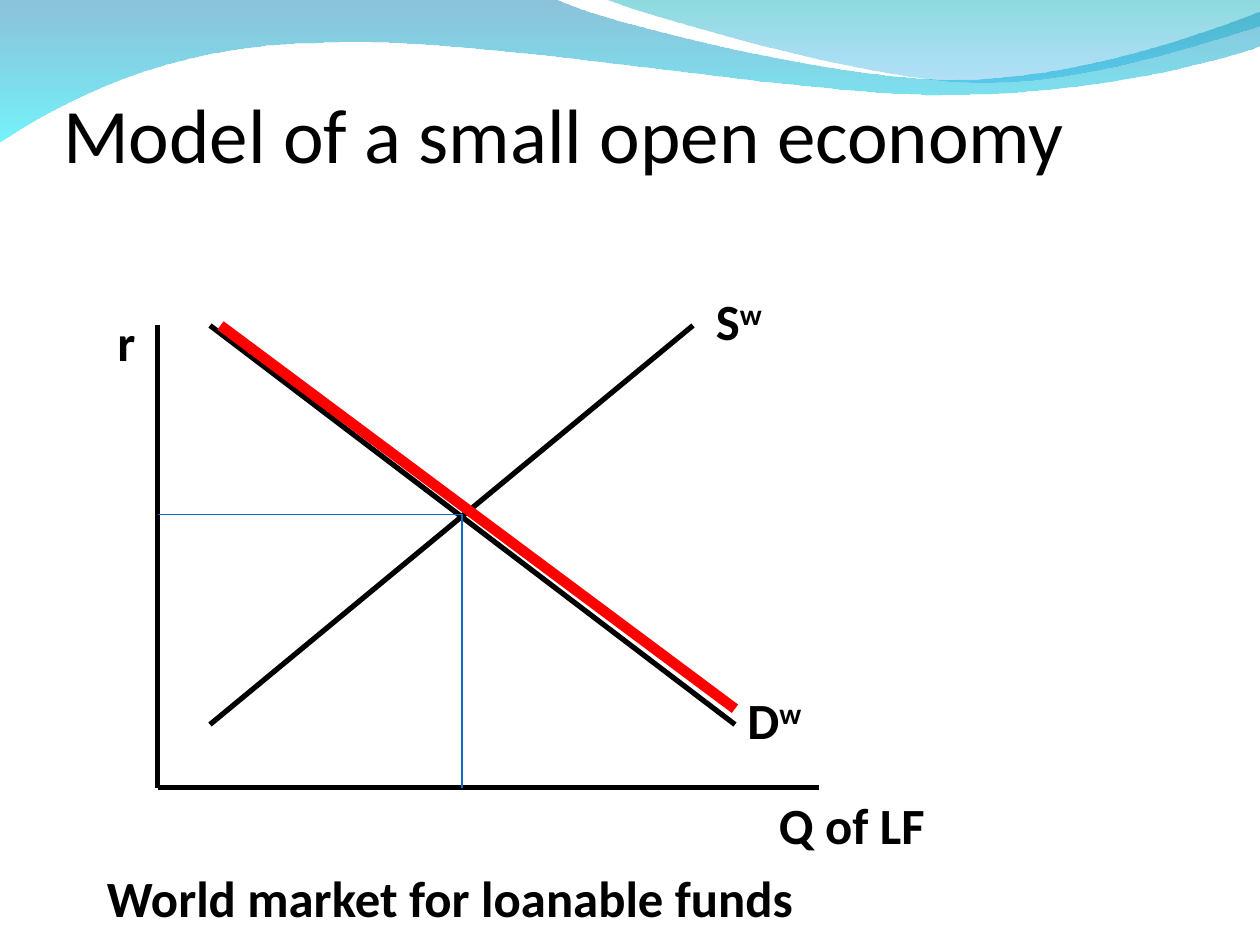
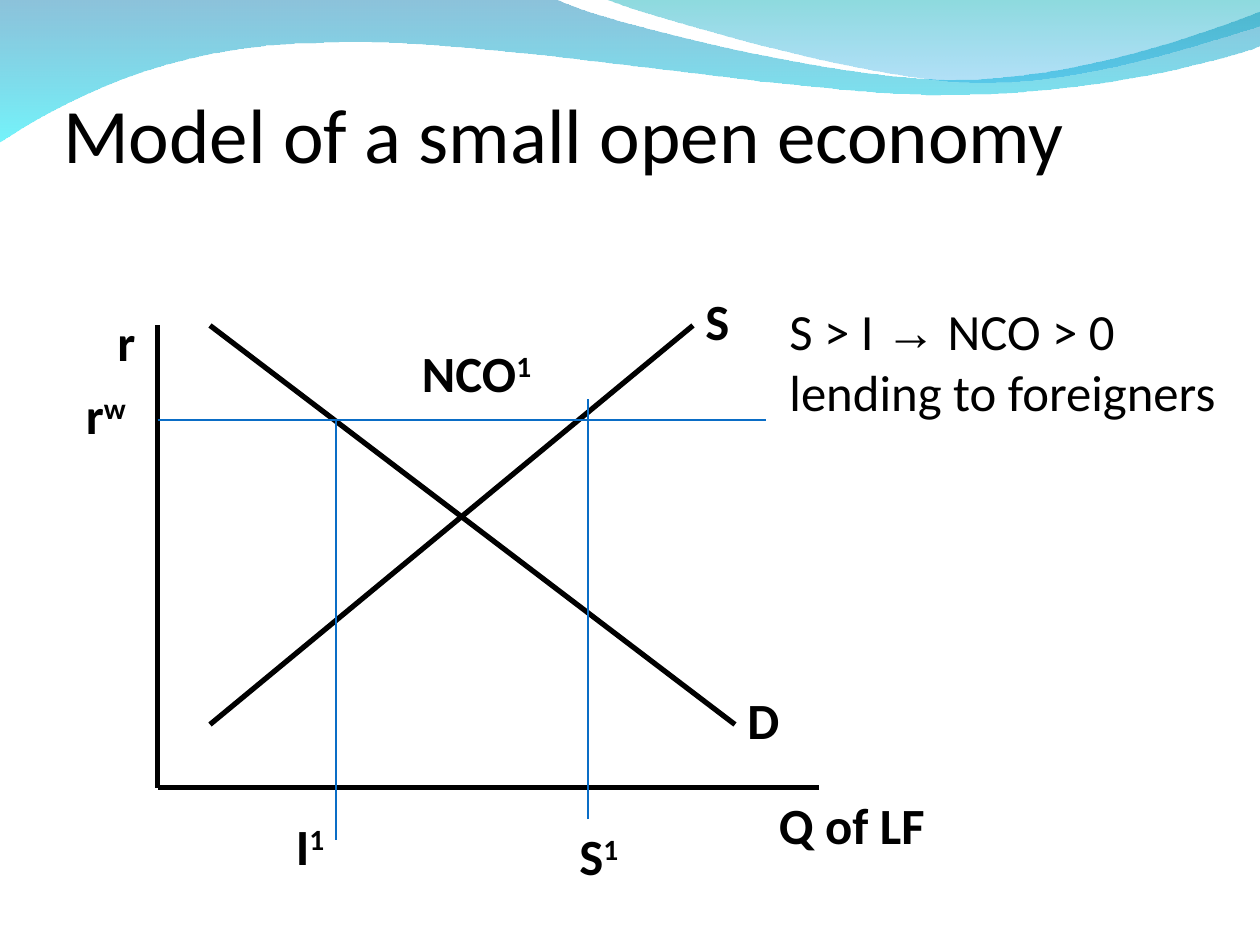
"""Build two slides on the loanable funds model of a small open economy."""
from lxml import etree
from pptx import Presentation
from pptx.dml.color import RGBColor
from pptx.enum.shapes import MSO_CONNECTOR
from pptx.enum.text import MSO_ANCHOR, MSO_AUTO_SIZE, PP_ALIGN
from pptx.oxml.ns import qn
from pptx.util import Inches, Pt

STRAIGHT = MSO_CONNECTOR.STRAIGHT
BOTTOM = MSO_ANCHOR.BOTTOM
LEFT = PP_ALIGN.LEFT
NO_FIT = MSO_AUTO_SIZE.NONE
FIT_SHAPE = MSO_AUTO_SIZE.SHAPE_TO_FIT_TEXT

BLACK = RGBColor(0x00, 0x00, 0x00)
RED = RGBColor(0xFF, 0x00, 0x00)
GUIDE_BLUE = RGBColor(0x0A, 0x6D, 0xC6)
DEEP_BLUE = RGBColor(0x00, 0x79, 0xAF)
CYAN = RGBColor(0x00, 0xEB, 0xF8)
TEAL = RGBColor(0x00, 0xAD, 0xB6)
SKY = RGBColor(0x00, 0x9B, 0xE5)

FONT = "Calibri"
ARROW_FONT = "Arial"
TITLE = "Model of a small open economy"
TITLE_STYLE = {"name": FONT, "size": Pt(44), "bold": False}
LABEL_STYLE = {"name": FONT, "size": Pt(29), "bold": True}
NOTE_STYLE = {**LABEL_STYLE, "bold": False}
ARROW_STYLE = {**NOTE_STYLE, "name": ARROW_FONT}

GRID_PER_INCH = 24
LABEL_HEIGHT = 0.59
AXIS_X, AXIS_TOP, AXIS_Y, AXIS_RIGHT = 1.25, 2.58, 6.25, 6.5
CURVE_LEFT, CURVE_BOTTOM = 1.67, 5.75
DEMAND_END, SUPPLY_END = 5.83, 5.5

WIDE_WAVE = [
    [(0, -0.01)], [(4.4, -0.01)],
    [(4.76, 0.17), (6.64, 0.63), (7.58, 0.63)],
    [(8.53, 0.63), (9.58, 0.26), (10, 0.09)],
    [(10.01, 0.36)],
    [(9.83, 0.44), (8.7, 0.76), (7.46, 0.75)],
    [(6.22, 0.75), (3.82, 0.28), (2.57, 0.34)],
    [(1.29, 0.35), (0.46, 0.83), (-0.01, 1.13)],
]
RIGHT_WAVE = [
    [(4.79, -0.01)],
    [(5.09, 0.11), (6.82, 0.62), (7.69, 0.65)],
    [(8.56, 0.69), (9.61, 0.32), (10, 0.21)],
    [(10, 0)],
]
WAVES = [
    (WIDE_WAVE, [(DEEP_BLUE, 45), (CYAN, 55)]),
    (RIGHT_WAVE, [(TEAL, 45), (SKY, 30)]),
]


def snap(value):
    """Return a length moved to the nearest step of the drawing grid."""
    return Inches(round(value * GRID_PER_INCH) / GRID_PER_INCH)


def curve_outline(wave, segments):
    """Bend the straight edges that have control points."""
    edges = list(wave.element.iter(qn("a:lnTo")))
    for edge, segment in zip(edges, segments[1:]):
        if len(segment) == 1:
            continue
        curve = etree.Element(qn("a:cubicBezTo"))
        for x, y in segment:
            point = etree.SubElement(curve, qn("a:pt"))
            point.set("x", str(Inches(x) - wave.left))
            point.set("y", str(Inches(y) - wave.top))
        edge.getparent().replace(edge, curve)


def add_wave(slide, master, segments, stops):
    """Draw a translucent gradient wave and hand it to the master."""
    corners = [tuple(map(Inches, segment[-1])) for segment in segments]
    builder = slide.shapes.build_freeform(*corners[0])
    builder.add_line_segments(corners[1:], close=True)
    wave = builder.convert_to_shape()
    curve_outline(wave, segments)
    wave.shadow.inherit = False
    wave.line.fill.background()
    wave.fill.gradient()
    wave.fill.gradient_angle = 270
    for stop, (color, _) in zip(wave.fill.gradient_stops, stops):
        stop.color.rgb = color
    for node, (_, opacity) in zip(wave.element.iter(qn("a:srgbClr")), stops):
        etree.SubElement(node, qn("a:alpha")).set("val", str(opacity * 1000))
    wave.element.nvSpPr.cNvPr.set("id", str(len(master.shapes) + 2))
    master.placeholders[0].element.addprevious(wave.element)


def add_run(paragraph, text, style):
    """Add a styled black run and return it."""
    run = paragraph.add_run()
    run.text = text
    for name, value in style.items():
        setattr(run.font, name, value)
    run.font.color.rgb = BLACK
    return run


def add_title(slide):
    """Place and format the shared title."""
    title = slide.shapes.title
    box = {"left": 0.5, "top": 0.77, "width": 9, "height": 0.65}
    for name, value in box.items():
        setattr(title, name, Inches(value))
    frame = title.text_frame
    layout = {"auto_size": NO_FIT, "vertical_anchor": BOTTOM, "word_wrap": True,
              "margin_left": 0, "margin_right": 0,
              "margin_top": Inches(0.05), "margin_bottom": 0}
    for name, value in layout.items():
        setattr(frame, name, value)
    frame.paragraphs[0].alignment = LEFT
    add_run(frame.paragraphs[0], TITLE, TITLE_STYLE)


def add_text_frame(slide, left, top, width, height=LABEL_HEIGHT):
    """Add a wrapping text box and return its frame."""
    box = slide.shapes.add_textbox(*map(snap, (left, top, width)), Inches(height))
    box.text_frame.word_wrap = True
    box.text_frame.auto_size = FIT_SHAPE
    return box.text_frame


def add_label(slide, left, top, width, text, superscript=""):
    """Add a bold label with an optional superscript."""
    paragraph = add_text_frame(slide, left, top, width).paragraphs[0]
    add_run(paragraph, text, LABEL_STYLE)
    if superscript:
        raised = add_run(paragraph, superscript, LABEL_STYLE)
        raised.font._element.set("baseline", "30000")


def add_line(slide, start, end, color=BLACK, width=3):
    """Draw a straight line without a shadow."""
    line = slide.shapes.add_connector(STRAIGHT, *map(snap, (*start, *end)))
    line.line.color.rgb = color
    line.line.width = Pt(width)
    etree.SubElement(line.element.spPr, qn("a:effectLst"))


def add_guide(slide, start, end):
    """Draw a thin blue guide line."""
    add_line(slide, start, end, GUIDE_BLUE, 0.75)


def add_market_slide(deck, supply_left, superscript=""):
    """Add a slide with the title, axes and market curves."""
    slide = deck.slides.add_slide(deck.slide_layouts[5])
    add_title(slide)
    add_line(slide, (AXIS_X, AXIS_TOP), (AXIS_X, AXIS_Y))
    add_line(slide, (AXIS_RIGHT, AXIS_Y), (AXIS_X, AXIS_Y))
    add_line(slide, (CURVE_LEFT, AXIS_TOP), (DEMAND_END, CURVE_BOTTOM))
    add_line(slide, (SUPPLY_END, AXIS_TOP), (CURVE_LEFT, CURVE_BOTTOM))
    add_label(slide, 0.83, 2.42, 0.33, "r")
    add_label(slide, supply_left, 2.25, 0.67, "S", superscript)
    add_label(slide, 5.83, 5.41, 0.67, "D", superscript)
    add_label(slide, 6.08, 6.25, 1.5, "Q of LF")
    return slide


def add_lending_note(slide):
    """Explain the sign of net capital outflow."""
    frame = add_text_frame(slide, 6.17, 2.33, 3.67, 1.07)
    condition = frame.paragraphs[0]
    add_run(condition, "S > I ", NOTE_STYLE)
    add_run(condition, "→", ARROW_STYLE)
    add_run(condition, " NCO > 0", NOTE_STYLE)
    add_run(frame.add_paragraph(), "lending to foreigners", NOTE_STYLE)


def add_world_market(deck):
    """Show the equilibrium of the world market."""
    slide = add_market_slide(deck, 5.58, "w")
    add_label(slide, 0.75, 6.83, 6.25, "World market for loanable funds")
    equilibrium = (3.67, 4.08)
    add_guide(slide, (AXIS_X, 4.08), equilibrium)
    add_guide(slide, equilibrium, (3.67, AXIS_Y))
    add_line(slide, (1.75, AXIS_TOP), (DEMAND_END, 5.62), RED, 6)
    return slide


def add_lending_economy(deck):
    """Show an economy that lends at the world interest rate."""
    slide = add_market_slide(deck, 5.5)
    add_lending_note(slide)
    add_guide(slide, (AXIS_X, 3.33), (6.08, 3.33))
    add_label(slide, 0.58, 3, 0.67, "r", "w")
    add_guide(slide, (2.67, 6.67), (2.67, 3.33))
    add_label(slide, 3.25, 2.67, 1.75, "NCO", "1")
    add_label(slide, 2.25, 6.42, 0.67, "I", "1")
    add_label(slide, 4.5, 6.5, 0.67, "S", "1")
    add_guide(slide, (4.67, 6.5), (4.67, 3.17))


def main():
    """Build and save the deck."""
    deck = Presentation()
    deck.slide_width = Inches(10)
    deck.slide_height = Inches(7.5)
    world_market = add_world_market(deck)
    for segments, stops in WAVES:
        add_wave(world_market, deck.slide_master, segments, stops)
    add_lending_economy(deck)
    deck.save("out.pptx")


if __name__ == "__main__":
    main()
